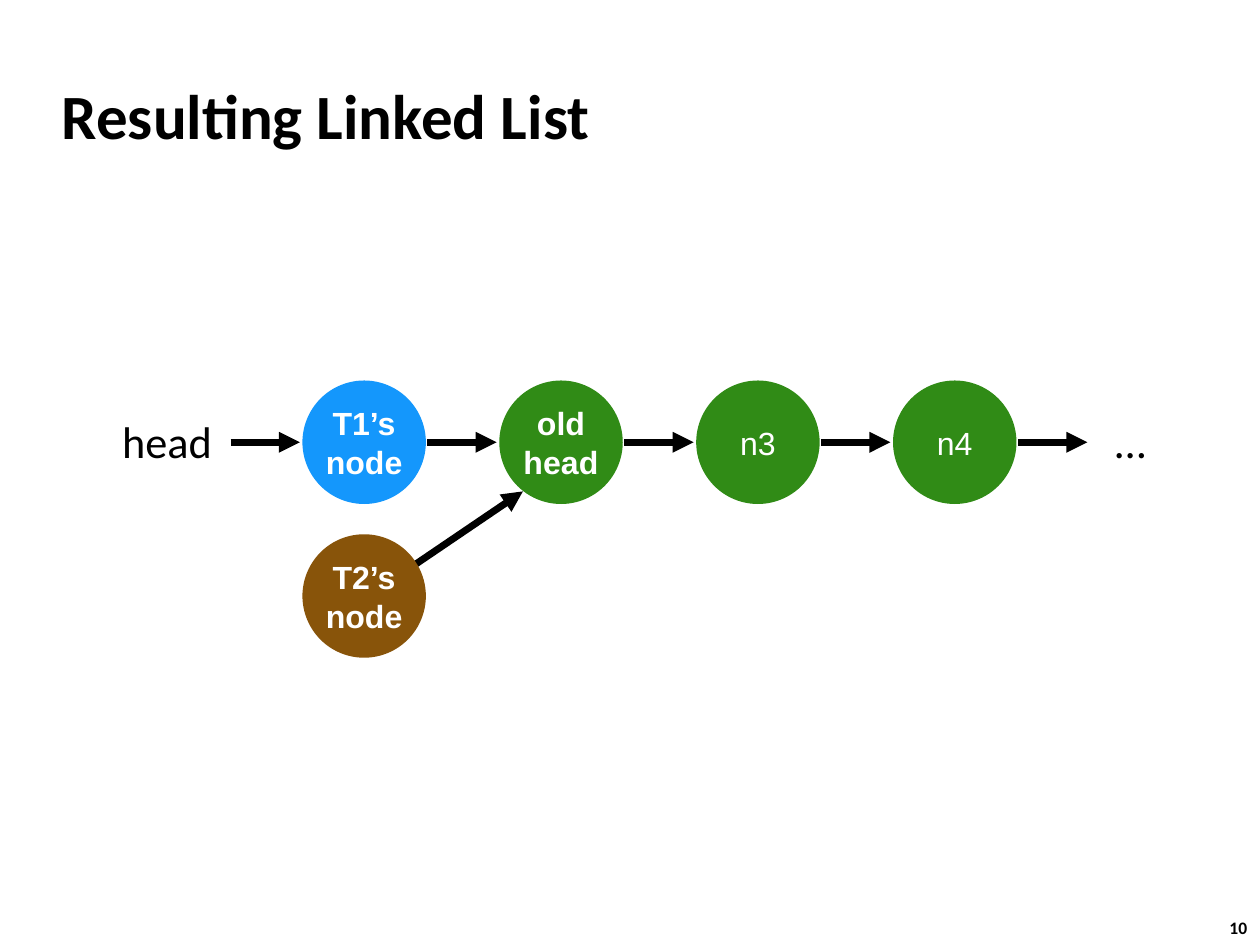
import pptx
import pptx.util
import pptx.dml.color
import pptx.oxml
import pptx.oxml.ns
import pptx.enum.shapes
import pptx.enum.text

TITLE = "Resulting Linked List"
BLUE, GREEN, BROWN = "1497FC", "308B16", "88540A"
BLACK, WHITE = "000000", "FFFFFF"
T2_LINK = (3.03, 4.66, 4.15, 3.9)
NODES = [
    ("T1’s\nnode", 0, 0, BLUE, True),
    ("old\nhead", 1, 0, GREEN, True),
    ("n3", 2, 0, GREEN, False),
    ("n4", 3, 0, GREEN, False),
    ("T2’s\nnode", 0, 1, BROWN, True),
]
LABELS = [
    ("head", 0.93, 3.25, 0.8, 0.5, 25.3, False, 0.04),
    ("…", 8.81, 3.25, 0.32, 0.5, 25.3, False, 0.04),
    ("10", 9.66, 7.23, 0.37, 0.27, 10, True, 0.1),
]
LEFT, TOP, DIAMETER = 2.4, 3.02, 0.98
COLUMN, ROW = 1.5625, 1.22
ARROW_LEFT, ARROW_LENGTH = 1.83, 0.55

inch = pptx.util.Inches
PP_ALIGN = pptx.enum.text.PP_ALIGN
ANCHOR = pptx.enum.text.MSO_ANCHOR


def rgb(value):
    return pptx.dml.color.RGBColor.from_string(value)


def write(tf, text, size, font, color, bold, align, inset):
    tf.text = text
    tf.word_wrap = False
    tf.vertical_anchor = ANCHOR.MIDDLE
    tf.margin_left = tf.margin_right = inch(inset)
    tf.margin_top = tf.margin_bottom = inch(min(inset, 0.05))
    for p in tf.paragraphs:
        p.alignment = align
        p.font.size = pptx.util.Pt(size)
        p.font.name = font
        p.font.bold = bold
        p.font.color.rgb = rgb(color)


def add_arrow(s, x1, y1, x2, y2):
    line = s.shapes.add_connector(
        pptx.enum.shapes.MSO_CONNECTOR.STRAIGHT, inch(x1), inch(y1), inch(x2), inch(y2))
    line.line.color.rgb = rgb(BLACK)
    line.line.width = pptx.util.Pt(4)
    tail = pptx.oxml.parse_xml(
        f'<a:tailEnd {pptx.oxml.ns.nsdecls("a")} type="triangle"/>')
    line.line._get_or_add_ln().append(tail)
    line._element.spPr.append(
        pptx.oxml.parse_xml(f'<a:effectLst {pptx.oxml.ns.nsdecls("a")}/>'))


def add_node(s, text, column, row, color, bold):
    sp = s.shapes.add_shape(
        pptx.enum.shapes.MSO_SHAPE.OVAL, inch(LEFT + column * COLUMN),
        inch(TOP + row * ROW), inch(DIAMETER), inch(DIAMETER))
    sp.shadow.inherit = False
    sp.fill.solid()
    sp.fill.fore_color.rgb = rgb(color)
    sp.line.fill.background()
    write(sp.text_frame, text, 18.3, "Arial", WHITE, bold, PP_ALIGN.CENTER, 0)


def main():
    prs = pptx.Presentation()
    prs.slide_width, prs.slide_height = inch(10), inch(7.5)
    s = prs.slides.add_slide(prs.slide_layouts[5])

    title = s.shapes.title
    title.left, title.top, title.width, title.height = map(inch, (0.39, 0.49, 8.3, 0.83))
    write(title.text_frame, TITLE, 36, "Calibri", BLACK, True, PP_ALIGN.LEFT, 0.1)
    title.text_frame.word_wrap = True

    for text, x, y, w, h, size, bold, inset in LABELS:
        box = s.shapes.add_textbox(inch(x), inch(y), inch(w), inch(h))
        write(box.text_frame, text, size, "Calibri", BLACK, bold, PP_ALIGN.LEFT, inset)

    middle = TOP + DIAMETER / 2
    for i in range(5):
        x = ARROW_LEFT + i * COLUMN
        add_arrow(s, x, middle, x + ARROW_LENGTH, middle)
    add_arrow(s, *T2_LINK)
    for node in NODES:
        add_node(s, *node)

    prs.save("out.pptx")


if __name__ == "__main__":
    main()
